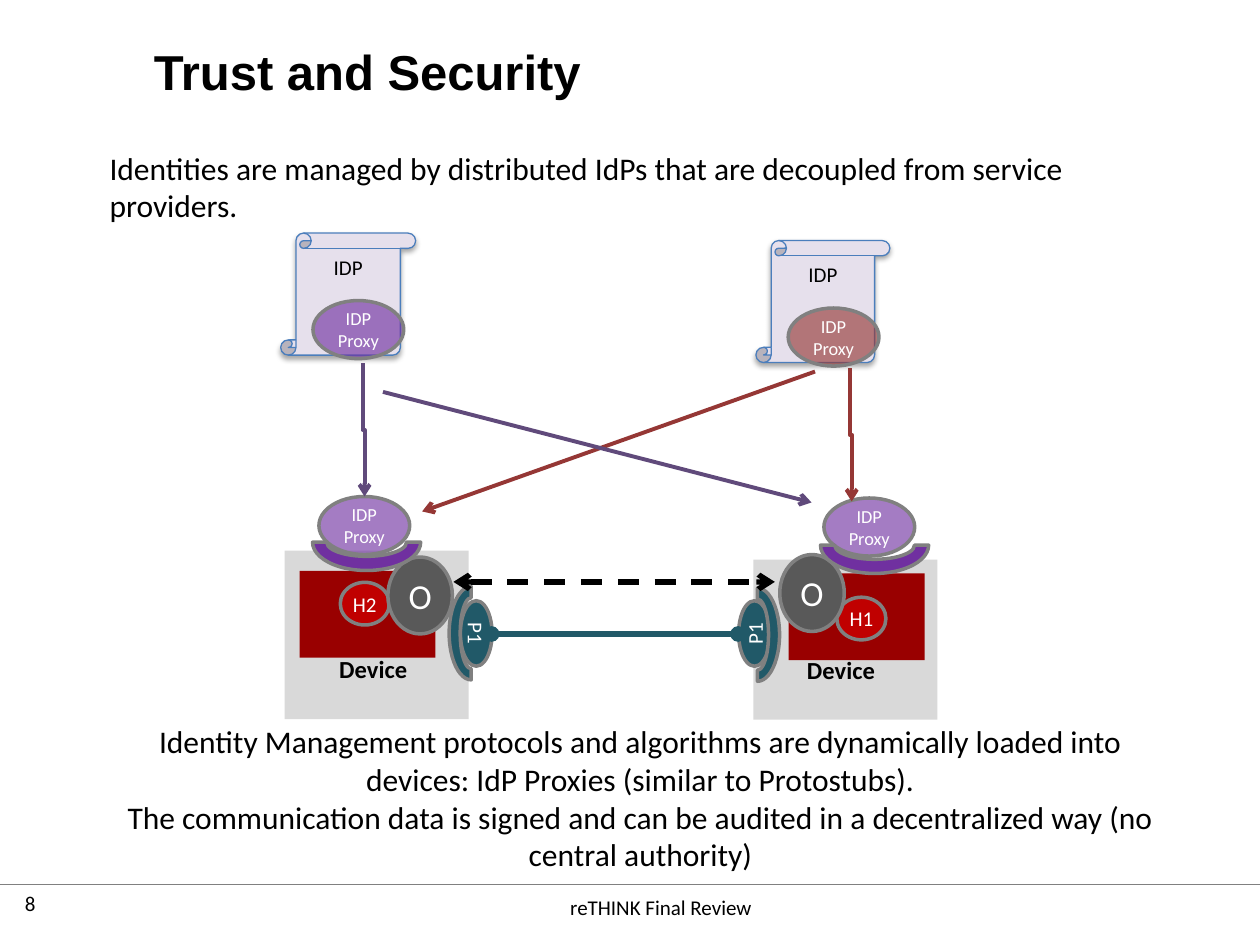
from dataclasses import dataclass

from lxml.etree import SubElement
from pptx import Presentation
from pptx.dml.color import RGBColor
from pptx.enum.dml import MSO_LINE
from pptx.enum.shapes import MSO_CONNECTOR, MSO_SHAPE
from pptx.enum.text import MSO_ANCHOR, PP_ALIGN
from pptx.oxml.ns import qn
from pptx.util import Cm, Pt


@dataclass(frozen=True)
class Theme:
    heading_font: str = "Arial"
    body_font: str = "Calibri"
    black: str = "000000"
    white: str = "FFFFFF"
    outline: str = "808080"
    device: str = "D9D9D9"
    runtime: str = "990000"
    hyperty: str = "C00000"
    orchestrator: str = "595959"
    stub: str = "215968"
    proxy: str = "7030A0"
    other_proxy: str = "953735"
    proxy_link: str = "604A7B"
    scroll: str = "E6E0EC"
    scroll_line: str = "4B7EBC"
    title_size: float = 28
    symbol_size: float = 20
    body_size: float = 18
    label_size: float = 14
    small_size: float = 12
    proxy_size: float = 10.5


@dataclass(frozen=True)
class Box:
    left: float
    top: float
    width: float
    height: float

    def inside(self, offset, size):
        return Box(self.left + offset[0], self.top + offset[1], *size)

    def lengths(self):
        return [Cm(value) for value in (self.left, self.top, self.width, self.height)]


THEME = Theme()
PROXY_SIZE = (1.83, 1.17)
LEFT_PARTS = dict(label=(-0.69, 1.96), runtime=(0.3, 0.41), hyperty=(1.12, 0.64),
                  orchestrator=(2.08, 0.13), socket=(0.56, -0.74), proxy=(0.69, -1.09),
                  stub=(3.2, 1.35), stub_arc=(2.82, 1.22))
RIGHT_PARTS = dict(label=(-0.71, 1.8), runtime=(0.71, 0.28), hyperty=(1.68, 0.76),
                   orchestrator=(0.53, -0.1), socket=(1.35, -0.86), proxy=(1.42, -1.24),
                   stub=(-0.64, 1.17), stub_arc=(-0.86, 1.07))


def write_text(frame, text, size=THEME.small_size, color=THEME.black, font=THEME.body_font,
               bold=False, align=PP_ALIGN.CENTER, anchor=MSO_ANCHOR.TOP, inset=None, wrap=True):
    frame.word_wrap = wrap
    frame.vertical_anchor = anchor
    if inset is not None:
        frame.margin_left = frame.margin_right = frame.margin_top = frame.margin_bottom = Cm(inset)
    frame.text = text
    for para in frame.paragraphs:
        para.alignment = align
        para.space_before = Pt(0)
        for span in para.runs:
            span.font.name = font
            span.font.size = Pt(size)
            span.font.bold = bold
            span.font.color.rgb = RGBColor.from_string(color)


def add_text(page, box, text, **style):
    write_text(page.shapes.add_textbox(*box.lengths()).text_frame, text, **style)


def add_part(page, kind, box, fill, outline=None, width=2, rotation=0, opacity=None):
    shape = page.shapes.add_shape(kind, *box.lengths())
    shape.shadow.inherit = False
    shape.rotation = rotation
    shape.fill.solid()
    shape.fill.fore_color.rgb = RGBColor.from_string(fill)
    if outline:
        shape.line.color.rgb = RGBColor.from_string(outline)
        shape.line.width = Pt(width)
    else:
        shape.line.fill.background()
    if opacity:
        color = shape.element.spPr.find(qn("a:solidFill")).find(qn("a:srgbClr"))
        SubElement(color, qn("a:alpha"), val=str(opacity * 1000))
    return shape


def add_oval(page, box, fill, text, size=THEME.small_size, **style):
    oval = add_part(page, MSO_SHAPE.OVAL, box, fill, THEME.outline, **style)
    write_text(oval.text_frame, text, size=size, color=THEME.white,
               anchor=MSO_ANCHOR.MIDDLE, inset=0, wrap=False)


def add_proxy(page, box, fill):
    add_oval(page, box, fill, "IDP\vProxy", THEME.proxy_size, opacity=63)


def add_link(page, start, end, color, width=2.25, head=None, tail="arrow",
             kind=MSO_CONNECTOR.STRAIGHT, dashed=False):
    link = page.shapes.add_connector(kind, *[Cm(value) for value in (*start, *end)])
    link.line.color.rgb = RGBColor.from_string(color)
    link.line.width = Pt(width)
    if dashed:
        link.line.dash_style = MSO_LINE.DASH
    properties = link._element.spPr
    for tag, end_type in (("a:headEnd", head), ("a:tailEnd", tail)):
        if end_type:
            SubElement(properties.find(qn("a:ln")), qn(tag), type=end_type)
    SubElement(properties, qn("a:effectLst"))
    return link


def add_elbow_down(page, box, color):
    center, middle = box.left + box.width / 2, box.top + box.height / 2
    start = (center + box.height / 2, middle - box.width / 2)
    end = (center - box.height / 2, middle + box.width / 2)
    link = add_link(page, start, end, color, kind=MSO_CONNECTOR.ELBOW)
    link._element.spPr.find(qn("a:xfrm")).set("rot", str(270 * 60000))


def add_title(page, box):
    title = page.shapes.title
    title.left, title.top, title.width, title.height = box.lengths()
    write_text(title.text_frame, "Trust and Security", size=THEME.title_size, bold=True,
               font=THEME.heading_font, align=PP_ALIGN.LEFT, inset=0)


def add_identity_provider(page, box, proxy_color):
    scroll = add_part(page, MSO_SHAPE.VERTICAL_SCROLL, box, THEME.scroll, THEME.scroll_line, 0.75)
    effects = scroll.element.spPr.find(qn("a:effectLst"))
    shadow = SubElement(effects, qn("a:outerShdw"), blurRad=str(Pt(3.1)), dist=str(Pt(1.8)),
                        dir=str(90 * 60000), rotWithShape="0")
    color = SubElement(shadow, qn("a:srgbClr"), val=THEME.black)
    SubElement(color, qn("a:alpha"), val="35000")
    write_text(scroll.text_frame, "IDP")
    add_proxy(page, box.inside((0.65, 1.36), PROXY_SIZE), proxy_color)


def add_device(page, box, parts, hyperty, stub_turn):
    add_part(page, MSO_SHAPE.RECTANGLE, box, THEME.device)
    add_text(page, box.inside(parts["label"], (4.95, 0.86)), "Device",
             size=THEME.label_size, bold=True)
    add_oval(page, box.inside(parts["stub"], (1.32, 0.64)), THEME.stub, "P1", rotation=stub_turn)
    add_part(page, MSO_SHAPE.BLOCK_ARC, box.inside(parts["stub_arc"], (1.88, 0.89)),
             THEME.stub, THEME.outline, rotation=360 - stub_turn)
    add_part(page, MSO_SHAPE.RECTANGLE, box.inside(parts["runtime"], (2.74, 1.75)), THEME.runtime)
    add_oval(page, box.inside(parts["hyperty"], (0.99, 0.86)), THEME.hyperty, hyperty)
    add_oval(page, box.inside(parts["orchestrator"], (1.3, 1.55)), THEME.orchestrator, "O",
             THEME.symbol_size)
    add_part(page, MSO_SHAPE.BLOCK_ARC, box.inside(parts["socket"], (2.18, 1.14)),
             THEME.proxy, THEME.outline, rotation=180)
    add_proxy(page, box.inside(parts["proxy"], PROXY_SIZE), THEME.proxy)


def add_diagram(page, box):
    add_identity_provider(page, box.inside((0, 0), (2.72, 2.46)), THEME.proxy)
    add_identity_provider(page, box.inside((9.58, 0.15), (2.7, 2.46)), THEME.other_proxy)
    add_device(page, box.inside((0.08, 6.4), (3.71, 3.4)), LEFT_PARTS, "H2", 90)
    add_device(page, box.inside((9.53, 6.58), (3.71, 3.23)), RIGHT_PARTS, "H1", 270)
    add_elbow_down(page, box.inside((1.65, 2.62), (0.04, 2.69)), THEME.proxy_link)
    add_elbow_down(page, box.inside((11.47, 2.72), (0.04, 2.69)), THEME.other_proxy)
    for start, end, style in (
        ((10.77, 2.79), (2.85, 5.61), dict(color=THEME.other_proxy)),
        ((2.06, 3.2), (10.7, 5.43), dict(color=THEME.proxy_link)),
        ((3.48, 7.03), (9.96, 7.03),
         dict(color=THEME.black, width=3, head="arrow", dashed=True)),
        ((9.22, 8.08), (4.25, 8.08),
         dict(color=THEME.stub, width=3, head="oval", tail="oval")),
    ):
        points = [(box.left + x, box.top + y) for x, y in (start, end)]
        add_link(page, *points, **style)


def add_footer(page, box):
    add_link(page, (box.left, box.top), (box.left + box.width, box.top),
             THEME.outline, 0.75, tail=None)
    add_text(page, box.inside((0.25, 0), (2.03, 1.02)), "8", align=PP_ALIGN.LEFT)
    add_text(page, box.inside((1.55, -0.05), (23.55, 1.02)), "reTHINK Final Review",
             anchor=MSO_ANCHOR.MIDDLE)


def main():
    deck = Presentation()
    deck.slide_width, deck.slide_height = Cm(25.4), Cm(19.05)
    page = deck.slides.add_slide(deck.slide_layouts[5])
    add_title(page, Box(3.1, 0.84, 18.92, 1.68))
    add_text(page, Box(1.96, 2.87, 22.02, 2.57),
             "Identities are managed by distributed IdPs that are decoupled from service providers.",
             size=THEME.body_size, align=PP_ALIGN.LEFT)
    add_diagram(page, Box(5.66, 4.7, 13.24, 9.81))
    add_text(page, Box(1.9, 14.43, 22.02, 4.11),
             "Identity Management protocols and algorithms are dynamically loaded into devices: "
             "IdP Proxies (similar to Protostubs).\n"
             "The communication data is signed and can be audited in a decentralized way "
             "(no central authority)", size=THEME.body_size)
    add_footer(page, Box(0, 17.83, 25.4, 1.22))
    deck.save("out.pptx")


if __name__ == "__main__":
    main()
